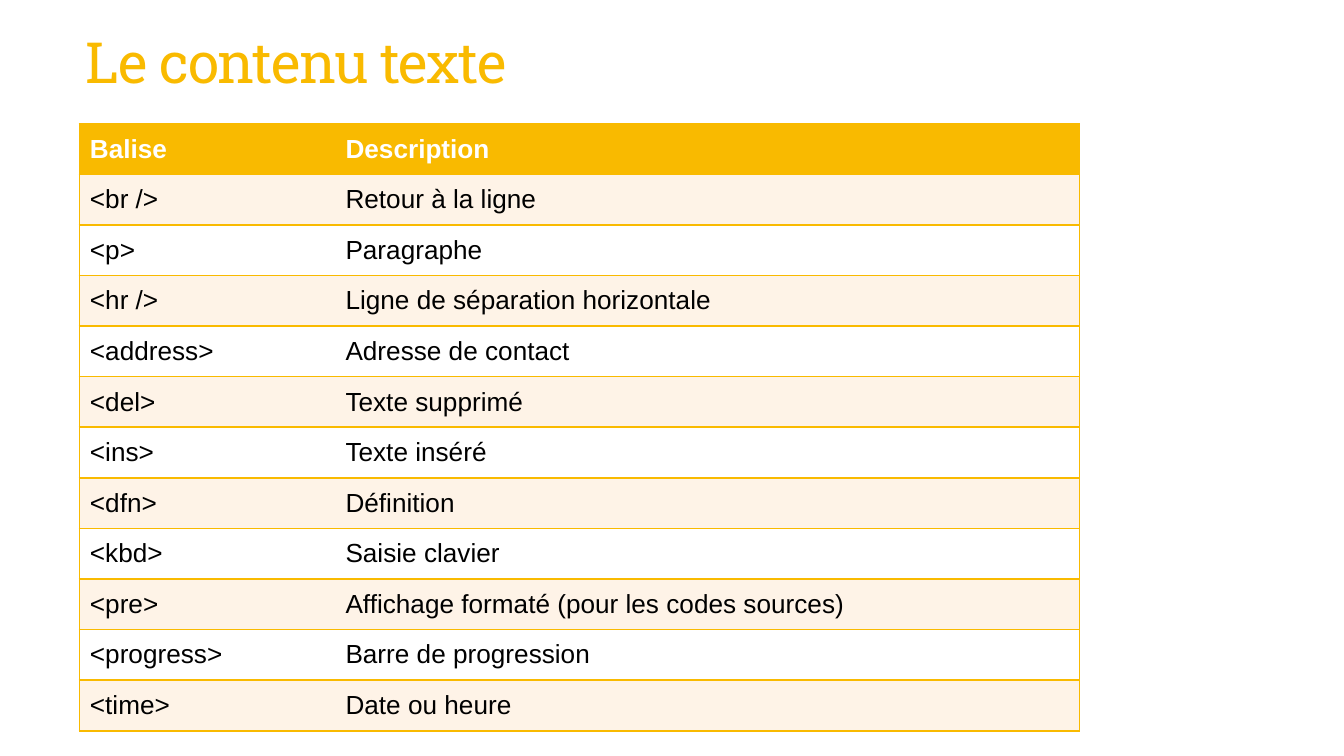
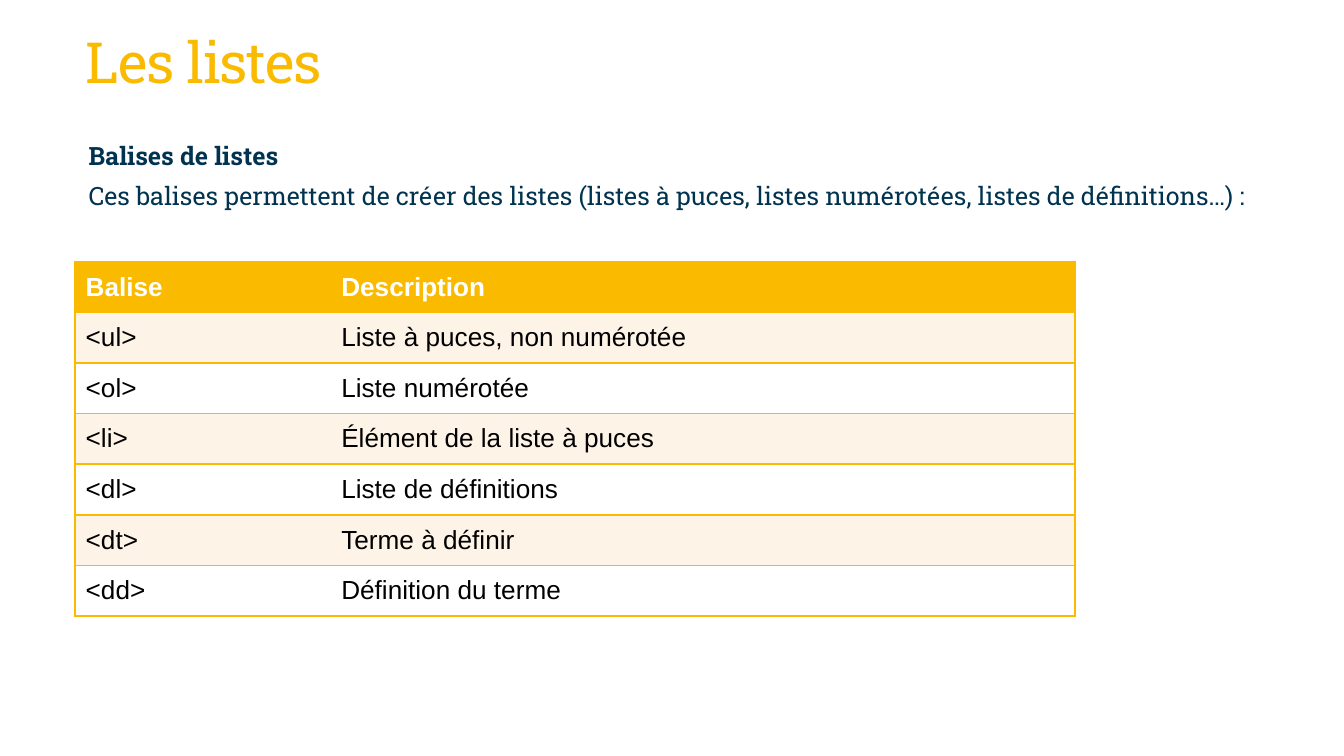
import pptx
import pptx.dml.color
import pptx.enum.text
import pptx.oxml.ns
import pptx.util
from lxml import etree

Cm = pptx.util.Cm
Pt = pptx.util.Pt

COLORS = {
    "gold": "F9BA00",
    "navy": "003350",
    "cream": "FEF3E7",
    "white": "FFFFFF",
    "black": "000000",
}
TITLE_FORMAT = {"name": "Roboto Slab", "size": Pt(30.4), "color": "gold", "bold": False}
BODY_FORMAT = {"name": "Roboto Slab", "size": Pt(13.5), "color": "navy", "bold": False}
CELL_FORMAT = {"name": "Arial", "size": Pt(14), "color": "black", "bold": False}
HEADER_FORMAT = {**CELL_FORMAT, "color": "white", "bold": True}

# Boxes: left, top, width, height
TITLE_BOX = (Cm(1.37), Cm(0.38), Cm(22.45), Cm(1.75))
BODY_BOX = (Cm(1.42), Cm(2.62), Cm(22.4), Cm(9.63))
COLUMN_WIDTHS = (Cm(4.83), Cm(14.07))
ROW_HEIGHT = Cm(0.85)
CELL_MARGIN = Cm(0.2)
PLAIN_TABLE_STYLE = "{2D5ABB26-0587-4C30-8999-92F81FD0307C}"

TABLE_HEADER = ("Balise", "Description")
TEXT_TAGS = [
    ("<br />", "Retour à la ligne"),
    ("<p>", "Paragraphe"),
    ("<hr />", "Ligne de séparation horizontale"),
    ("<address>", "Adresse de contact"),
    ("<del>", "Texte supprimé"),
    ("<ins>", "Texte inséré"),
    ("<dfn>", "Définition"),
    ("<kbd>", "Saisie clavier"),
    ("<pre>", "Affichage formaté (pour les codes sources)"),
    ("<progress>", "Barre de progression"),
    ("<time>", "Date ou heure"),
]
LIST_TAGS = [
    ("<ul>", "Liste à puces, non numérotée"),
    ("<ol>", "Liste numérotée"),
    ("<li>", "Élément de la liste à puces"),
    ("<dl>", "Liste de définitions"),
    ("<dt>", "Terme à définir"),
    ("<dd>", "Définition du terme"),
]
LIST_INTRO = [
    ("Balises de listes", True),
    ("Ces balises permettent de créer des listes (listes à puces, listes numérotées, "
     "listes de définitions…) :", False),
]


def rgb(color):
    return pptx.dml.color.RGBColor.from_string(COLORS[color])


def set_attributes(target, values):
    for name, value in values.items():
        setattr(target, name, value)


def write_run(paragraph, text, text_format):
    run = paragraph.add_run()
    run.text = text
    for name, value in text_format.items():
        if name == "color":
            run.font.color.rgb = rgb(value)
        else:
            setattr(run.font, name, value)
    return run


def place(shape, box):
    set_attributes(shape, dict(zip(("left", "top", "width", "height"), box)))


def add_title(slide, text, box):
    shape = slide.shapes.title
    place(shape, box)
    set_attributes(shape.text_frame, {
        "word_wrap": True,
        "auto_size": pptx.enum.text.MSO_AUTO_SIZE.NONE,
        "vertical_anchor": pptx.enum.text.MSO_ANCHOR.MIDDLE,
    })
    paragraph = shape.text_frame.paragraphs[0]
    set_attributes(paragraph, {"alignment": pptx.enum.text.PP_ALIGN.LEFT, "line_spacing": 0.85})
    run = write_run(paragraph, text, TITLE_FORMAT)
    run.font._element.set("spc", "-70")


def add_body(slide, lines, box):
    shape = slide.placeholders[1]
    place(shape, box)
    frame = shape.text_frame
    set_attributes(frame, {
        "word_wrap": True,
        "auto_size": pptx.enum.text.MSO_AUTO_SIZE.NONE,
        "vertical_anchor": pptx.enum.text.MSO_ANCHOR.TOP,
        "margin_right": 0,
    })
    for index, (text, bold) in enumerate(lines):
        paragraph = frame.add_paragraph() if index else frame.paragraphs[0]
        set_attributes(paragraph, {"line_spacing": 0.85, "space_before": Pt(7.3)})
        write_run(paragraph, text, {**BODY_FORMAT, "bold": bold})
        # No bullet and no indent
        properties = paragraph._p.get_or_add_pPr()
        properties.set("marL", "0")
        properties.set("indent", "0")
        etree.SubElement(properties, pptx.oxml.ns.qn("a:buNone"))


def add_cell_borders(cell, sides):
    properties = cell._tc.get_or_add_tcPr()
    for side in sides:
        line = etree.SubElement(properties, pptx.oxml.ns.qn(f"a:ln{side}"), w=str(Pt(1)))
        fill = etree.SubElement(line, pptx.oxml.ns.qn("a:solidFill"))
        etree.SubElement(fill, pptx.oxml.ns.qn("a:srgbClr"), val=COLORS["gold"])


def add_tag_table(slide, tags, left, top):
    rows = [TABLE_HEADER, *tags]
    table = slide.shapes.add_table(
        len(rows), len(COLUMN_WIDTHS), left, top, sum(COLUMN_WIDTHS), ROW_HEIGHT * len(rows)
    ).table
    table.horz_banding = False
    table._tbl.tblPr.find(pptx.oxml.ns.qn("a:tableStyleId")).text = PLAIN_TABLE_STYLE
    for column, width in zip(table.columns, COLUMN_WIDTHS):
        column.width = width

    for row_index, row in enumerate(rows):
        is_header = row_index == 0
        band = "gold" if is_header else ("white", "cream")[row_index % 2]
        for column_index, text in enumerate(row):
            cell = table.cell(row_index, column_index)
            set_attributes(cell, {f"margin_{side}": CELL_MARGIN
                                  for side in ("left", "right", "top", "bottom")})
            anchors = pptx.enum.text.MSO_ANCHOR
            cell.vertical_anchor = anchors.MIDDLE if is_header else anchors.TOP
            # Borders come before the fill in the cell properties
            add_cell_borders(cell, ("LTB", "RTB")[column_index])
            cell.fill.solid()
            cell.fill.fore_color.rgb = rgb(band)
            write_run(cell.text_frame.paragraphs[0], text,
                      HEADER_FORMAT if is_header else CELL_FORMAT)


def add_slide(presentation, layout_name, title):
    slide = presentation.slides.add_slide(presentation.slide_layouts.get_by_name(layout_name))
    slide.background.fill.solid()
    slide.background.fill.fore_color.rgb = rgb("white")
    add_title(slide, title, TITLE_BOX)
    return slide


def main():
    presentation = pptx.Presentation()
    set_attributes(presentation, {"slide_width": Cm(25.4), "slide_height": Cm(14.29)})

    # Text tags
    slide = add_slide(presentation, "Title Only", "Le contenu texte")
    add_tag_table(slide, TEXT_TAGS, Cm(1.5), Cm(2.34))

    # List tags
    slide = add_slide(presentation, "Title and Content", "Les listes")
    add_body(slide, LIST_INTRO, BODY_BOX)
    add_tag_table(slide, LIST_TAGS, Cm(1.42), Cm(4.95))

    presentation.save("out.pptx")


if __name__ == "__main__":
    main()
